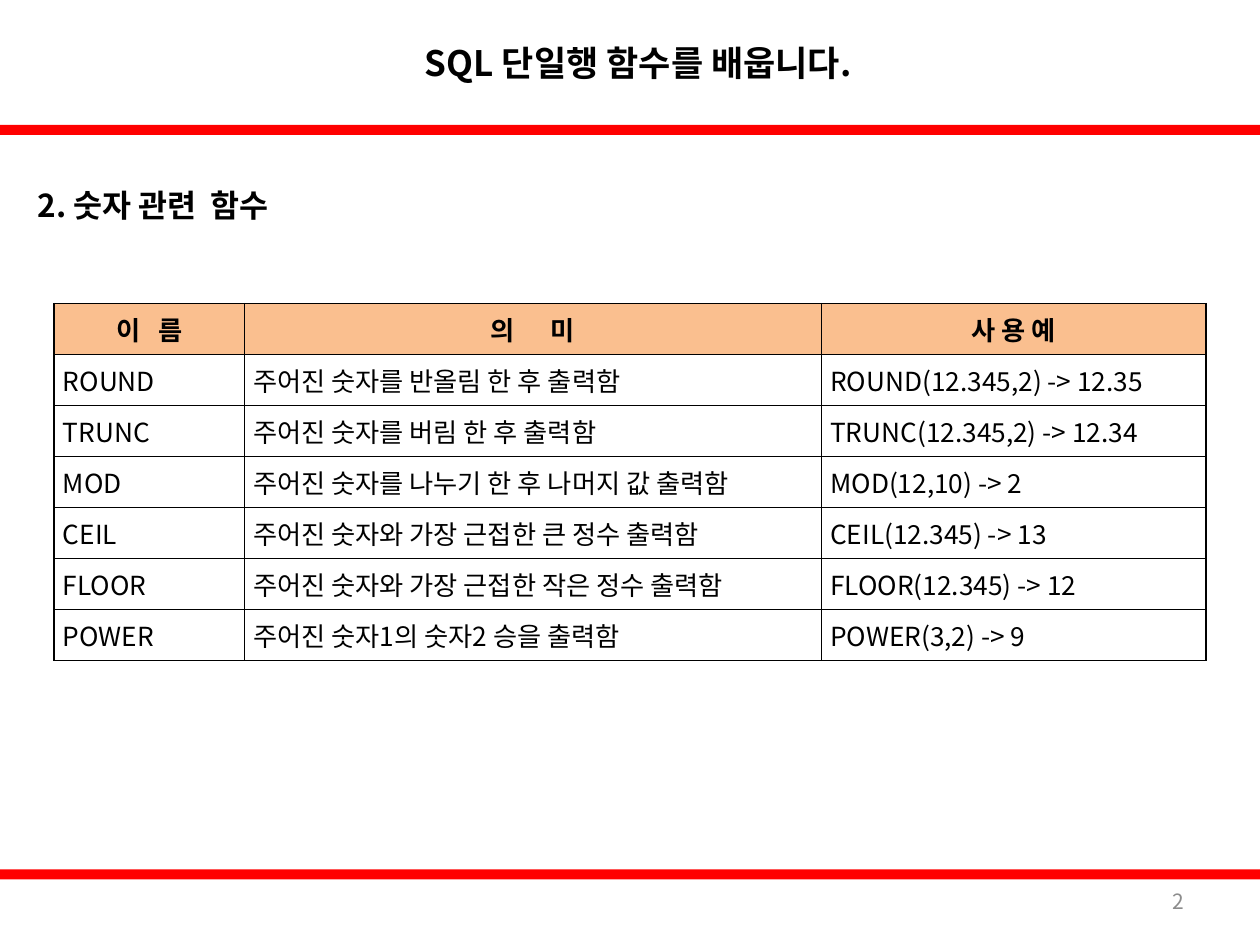
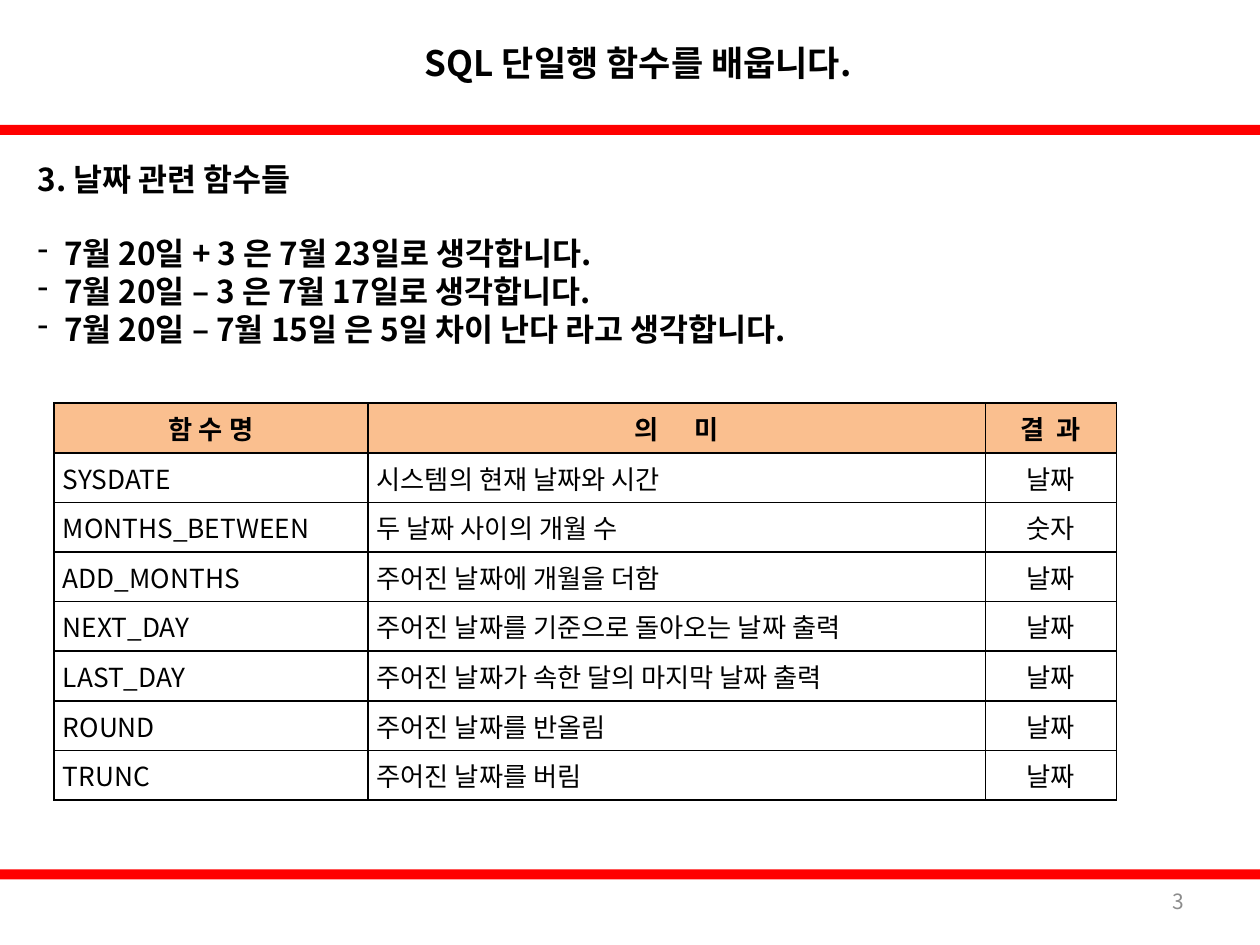
"""Build two slides on SQL single-row functions, each with a heading and a table."""
from lxml import etree
from pptx import Presentation
from pptx.dml.color import RGBColor
from pptx.enum.shapes import MSO_SHAPE
from pptx.enum.text import MSO_ANCHOR, PP_ALIGN
from pptx.oxml.ns import qn
from pptx.util import Inches, Pt

LEFT, CENTER, RIGHT, JUSTIFY = PP_ALIGN.LEFT, PP_ALIGN.CENTER, PP_ALIGN.RIGHT, PP_ALIGN.JUSTIFY
MIDDLE = MSO_ANCHOR.MIDDLE
RECTANGLE = MSO_SHAPE.RECTANGLE
FONT = "Noto Sans CJK KR"
RED, PEACH, BLACK, GREY, WHITE = "FF0000", "FABF8F", "000000", "8C8C8C", "FFFFFF"
TITLE = "SQL 단일행 함수를 배웁니다."
BANDS = (9.9, 69)
TABLE_LEFT = 4.3

deck = Presentation()
deck.slide_width, deck.slide_height = Inches(10), Inches(7.5)
COLUMN, ROW = deck.slide_width / 100, deck.slide_height / 75

topics = [
    {
        "number": "2",
        "heading": "2. 숫자 관련  함수",
        "heading_area": (2, 12.3, 57.5, 7.9),
        "points": [],
        "table_top": 24.1,
        "row_height": 4.05,
        "widths": (15.1, 45.8, 30.5),
        "aligns": (JUSTIFY, JUSTIFY, JUSTIFY),
        "header": (("이 름", 3.5), ("의 미", 8.5), ("사 용 예", 0)),
        "rows": [
            ("ROUND", "주어진 숫자를 반올림 한 후 출력함", "ROUND(12.345,2) -> 12.35"),
            ("TRUNC", "주어진 숫자를 버림 한 후 출력함", "TRUNC(12.345,2) -> 12.34"),
            ("MOD", "주어진 숫자를 나누기 한 후 나머지 값 출력함", "MOD(12,10) -> 2"),
            ("CEIL", "주어진 숫자와 가장 근접한 큰 정수 출력함", "CEIL(12.345) -> 13"),
            ("FLOOR", "주어진 숫자와 가장 근접한 작은 정수 출력함", "FLOOR(12.345) -> 12"),
            ("POWER", "주어진 숫자1의 숫자2 승을 출력함", "POWER(3,2) -> 9"),
        ],
    },
    {
        "number": "3",
        "heading": "3. 날짜 관련 함수들",
        "heading_area": (2, 6, 96.1, 28.3),
        "points": [
            "7월 20일 + 3 은 7월 23일로 생각합니다.",
            "7월 20일 – 3 은 7월 17일로 생각합니다.",
            "7월 20일 – 7월 15일 은 5일 차이 난다 라고 생각합니다.",
        ],
        "table_top": 32,
        "row_height": 3.94,
        "widths": (24.9, 49, 10.4),
        "aligns": (JUSTIFY, JUSTIFY, CENTER),
        "header": (("함 수 명", 0), ("의 미", 8.5), ("결 과", 1.75)),
        "rows": [
            ("SYSDATE", "시스템의 현재 날짜와 시간", "날짜"),
            ("MONTHS_BETWEEN", "두 날짜 사이의 개월 수", "숫자"),
            ("ADD_MONTHS", "주어진 날짜에 개월을 더함", "날짜"),
            ("NEXT_DAY", "주어진 날짜를 기준으로 돌아오는 날짜 출력", "날짜"),
            ("LAST_DAY", "주어진 날짜가 속한 달의 마지막 날짜 출력", "날짜"),
            ("ROUND", "주어진 날짜를 반올림", "날짜"),
            ("TRUNC", "주어진 날짜를 버림", "날짜"),
        ],
    },
]


def paint(color_format, color):
    color_format.rgb = RGBColor.from_string(color)


def write(para, text, size, bold=False, align=LEFT, color=BLACK):
    span = para.add_run()
    span.text = text
    para.alignment = align
    para.font.name, para.font.size, para.font.bold = FONT, Pt(size), bold
    paint(para.font.color, color)
    etree.SubElement(span._r.get_or_add_rPr(), qn("a:ea"), typeface=FONT)
    return span


for topic in topics:
    page = deck.slides.add_slide(deck.slide_layouts[6])

    for top in BANDS:
        band = page.shapes.add_shape(RECTANGLE, 0, int(top * ROW), deck.slide_width, int(0.8 * ROW))
        band.shadow.inherit = False
        band.fill.solid()
        paint(band.fill.fore_color, RED)
        band.line.fill.background()

    labels = [
        (TITLE, (17.2, 0, 66.9, 9.9), 20, True, CENTER, BLACK),
        (topic["number"], (71.7, 69.5, 23.3, 4), 12, False, RIGHT, GREY),
        (topic["heading"], topic["heading_area"], 18, True, LEFT, BLACK),
    ]
    for text, (left, top, width, height), size, bold, align, color in labels:
        box = page.shapes.add_textbox(int(left * COLUMN), int(top * ROW), int(width * COLUMN), int(height * ROW))
        frame = box.text_frame
        frame.word_wrap = True
        frame.vertical_anchor = MIDDLE
        write(frame.paragraphs[0], text, size, bold, align, color)

    if topic["points"]:
        frame.paragraphs[0].line_spacing = Pt(21.7)
        frame.paragraphs[0].space_after = Pt(21)
    for point in topic["points"]:
        para = frame.add_paragraph()
        write(para, point, 18, True)
        para.line_spacing = Pt(21.7)
        properties = para._p.get_or_add_pPr()
        properties.set("marL", str(int(2.1 * COLUMN)))
        properties.set("indent", str(int(-2.1 * COLUMN)))
        bullet = etree.Element(qn("a:buChar"), char="-")
        properties.find(qn("a:defRPr")).addprevious(bullet)

    lines = [topic["header"]] + [[(text, 0) for text in row] for row in topic["rows"]]
    grid = page.shapes.add_table(
        len(lines), len(topic["widths"]), int(TABLE_LEFT * COLUMN), int(topic["table_top"] * ROW),
        int(sum(topic["widths"]) * COLUMN), int(len(lines) * topic["row_height"] * ROW),
    ).table
    for column, width in zip(grid.columns, topic["widths"]):
        column.width = int(width * COLUMN)
    for index, line in enumerate(lines):
        grid.rows[index].height = int(topic["row_height"] * ROW)
        is_header = index == 0
        for position, (text, spacing) in enumerate(line):
            cell = grid.cell(index, position)
            cell.margin_left = cell.margin_right = int(0.7 * COLUMN)
            cell.margin_top = cell.margin_bottom = 0
            cell.vertical_anchor = MIDDLE
            align = CENTER if is_header else topic["aligns"][position]
            span = write(cell.text_frame.paragraphs[0], text, 15, is_header, align)
            if spacing:
                span._r.get_or_add_rPr().set("spc", str(int(spacing * 100)))
            properties = cell._tc.get_or_add_tcPr()
            for side in ("lnL", "lnR", "lnT", "lnB"):
                border = etree.SubElement(properties, qn("a:" + side), w=str(Pt(1)))
                ink = etree.SubElement(border, qn("a:solidFill"))
                etree.SubElement(ink, qn("a:srgbClr"), val=BLACK)
            cell.fill.solid()
            paint(cell.fill.fore_color, PEACH if is_header else WHITE)

deck.save("out.pptx")
